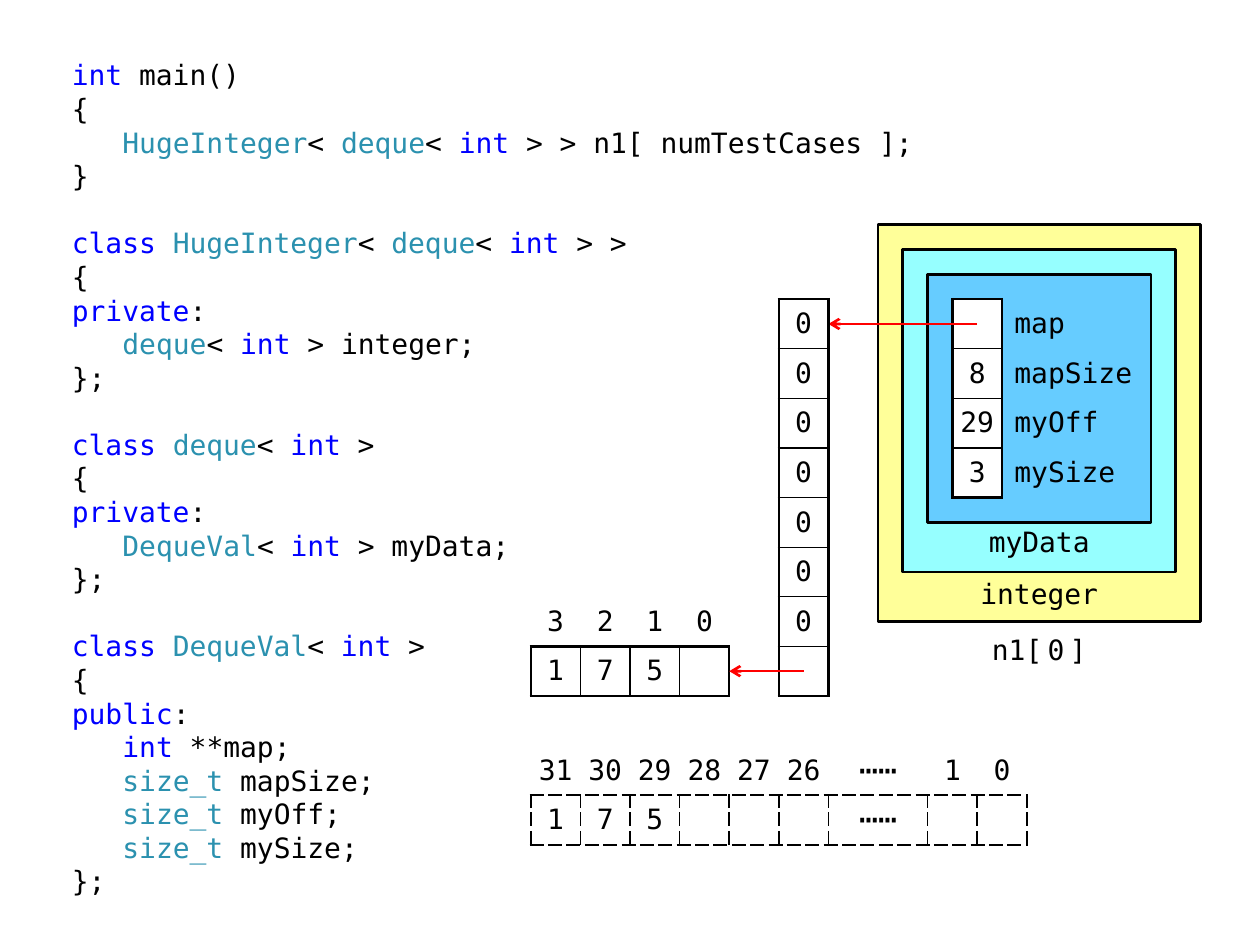
from itertools import groupby

from lxml.etree import SubElement
from pptx import Presentation
from pptx.dml.color import RGBColor
from pptx.enum.shapes import MSO_CONNECTOR, MSO_SHAPE
from pptx.enum.text import MSO_ANCHOR, PP_ALIGN
from pptx.oxml import parse_xml
from pptx.oxml.ns import nsdecls, qn
from pptx.util import Cm, Pt

FONT = "DejaVu Sans Mono"
BLACK = RGBColor(0, 0, 0)
WHITE = RGBColor(0xFF, 0xFF, 0xFF)
RED = RGBColor(0xFF, 0, 0)
BLUE = RGBColor(0, 0, 0xFF)
TEAL = RGBColor(0x2B, 0x91, 0xAF)
YELLOW = RGBColor(0xFF, 0xFF, 0x99)
CYAN = RGBColor(0x96, 0xFF, 0xFF)
SKY = RGBColor(0x66, 0xCC, 0xFF)

NO_STYLE = "{2D5ABB26-0587-4C30-8999-92F81FD0307C}"
LINE_PITCH = Pt(19.2)
CODE_INDENT = Cm(1.02)
DOTS = "⋯⋯"

WORD_COLORS = {
    **dict.fromkeys(("int", "class", "private", "public"), BLUE),
    **dict.fromkeys(("HugeInteger", "deque", "DequeVal", "size_t"), TEAL),
}
CODE_BLOCKS = [
    """int main()
{
\tHugeInteger< deque< int > > n1[ numTestCases ];
}""",
    """class HugeInteger< deque< int > >
{
private:
\tdeque< int > integer;
};""",
    """class deque< int >
{
private:
\tDequeVal< int > myData;
};""",
    """class DequeVal< int >
{
public:
\tint **map;
\tsize_t mapSize;
\tsize_t myOff;
\tsize_t mySize;
};""",
]


def add_run(p, text, color=BLACK, size=16, spacing=None):
    r = p.add_run()
    r.text = text
    for name, value in {"name": FONT, "size": Pt(size)}.items():
        setattr(r.font, name, value)
    r.font.color.rgb = color
    if spacing:
        r.font._element.set("spc", str(spacing))


def set_margins(target, left, top, right, bottom):
    margins = {"left": left, "top": top, "right": right, "bottom": bottom}
    for side, value in margins.items():
        setattr(target, f"margin_{side}", Cm(value))


def color_runs(line):
    """Yield (colour, text) runs of a code line, split by kind of word."""
    pieces = []
    for word in line.split(" "):
        name = word.rstrip("<:")
        pieces.append((WORD_COLORS.get(name, BLACK), name))
        pieces.append((BLACK, word[len(name):] + " "))
    pieces[-1] = (BLACK, pieces[-1][1].rstrip())
    for color, group in groupby((pc for pc in pieces if pc[1]), lambda pc: pc[0]):
        yield color, "".join(text for _, text in group)


def add_code(slide, left, top, width, height):
    tf = slide.shapes.add_textbox(Cm(left), Cm(top), Cm(width), Cm(height)).text_frame
    tf.word_wrap = True
    set_margins(tf, 0.25, 0.15, 0.25, 0.13)
    for b, block in enumerate(CODE_BLOCKS):
        for i, line in enumerate(block.split("\n")):
            p = tf.add_paragraph() if b or i else tf.paragraphs[0]
            p.line_spacing = LINE_PITCH
            if b and not i:
                p.space_before = LINE_PITCH
            if line.startswith("\t"):
                p._p.get_or_add_pPr().set("marL", str(CODE_INDENT))
            for color, text in color_runs(line.strip()):
                add_run(p, text, color)


def add_label(slide, left, top, width, runs, margins, anchor=MSO_ANCHOR.TOP):
    tf = slide.shapes.add_textbox(Cm(left), Cm(top), Cm(width), Cm(1)).text_frame
    tf.word_wrap = True
    tf.vertical_anchor = anchor
    set_margins(tf, *margins)
    p = tf.paragraphs[0]
    p.alignment = PP_ALIGN.CENTER
    for text, spacing in runs:
        add_run(p, text, spacing=spacing)


def add_arrow(slide, x1, x2, y):
    line = slide.shapes.add_connector(MSO_CONNECTOR.STRAIGHT, Cm(x1), Cm(y), Cm(x2), Cm(y))
    line.line.color.rgb = RED
    line.line.width = Pt(1.5)
    SubElement(line.line._get_or_add_ln(), qn("a:tailEnd"), type="arrow")
    SubElement(line._element.spPr, qn("a:effectLst"))


def add_grid(slide, left, top, widths, rows):
    """Add a plain table of 1 cm rows with centred text."""
    shape = slide.shapes.add_table(
        len(rows), len(widths), Cm(left), Cm(top), Cm(sum(widths)), Cm(len(rows)))
    table = shape.table
    table.first_row = table.horz_banding = False
    table._tbl.tblPr.find(qn("a:tableStyleId")).text = NO_STYLE
    for column, width in zip(table.columns, widths):
        column.width = Cm(width)
    for r, texts in enumerate(rows):
        table.rows[r].height = Cm(1)
        for c, text in enumerate(texts):
            cell = table.cell(r, c)
            cell.vertical_anchor = MSO_ANCHOR.MIDDLE
            set_margins(cell, 0, 0.1, 0, 0.1)
            cell.fill.background()
            p = cell.text_frame.paragraphs[0]
            p.alignment = PP_ALIGN.CENTER
            if text:
                add_run(p, text, size=18 if text == DOTS else 16)
    return table


def frame_cells(table, rows, cols, inner, dash="solid"):
    """Fill a block of cells white, with a 1.5 pt outline and inner lines."""
    for r in rows:
        for c in cols:
            cell = table.cell(r, c)
            cell.fill.solid()
            cell.fill.fore_color.rgb = WHITE
            on_edge = {"L": c == cols[0], "R": c == cols[-1],
                       "T": r == rows[0], "B": r == rows[-1]}
            for i, (side, outer) in enumerate(on_edge.items()):
                width = Pt(1.5 if outer else inner)
                cell._tc.get_or_add_tcPr().insert(i, parse_xml(
                    f'<a:ln{side} {nsdecls("a")} w="{width}"><a:solidFill>'
                    f'<a:srgbClr val="{BLACK}"/></a:solidFill>'
                    f'<a:prstDash val="{dash}"/></a:ln{side}>'))


def add_object(slide, left, top, width, height):
    """Nested boxes of n1[0] around the table of its data members."""
    for level, color in enumerate((YELLOW, CYAN, SKY)):
        inset = level * 0.5
        sp = slide.shapes.add_shape(
            MSO_SHAPE.FLOWCHART_PROCESS, Cm(left + inset), Cm(top + inset),
            Cm(width - 2 * inset), Cm(height - 3 * inset))
        sp.shadow.inherit = False
        sp.fill.solid()
        sp.fill.fore_color.rgb = color
        sp.line.color.rgb = BLACK
        sp.line.width = Pt(1.5)
    add_label(slide, left + 1.5, top + height - 1, 3.5, [("integer", None)], (0.2, 0.1, 0.2, 0))
    add_label(slide, left + 2, top + height, 2.5, [("n1", None), ("[0", 300), ("]", None)],
              (0.2, 0.13, 0.2, 0.1), MSO_ANCHOR.BOTTOM)
    add_label(slide, left + 2, top + height - 2, 2.5, [("myData", None)], (0.2, 0.05, 0.2, 0))

    members = [("", "map"), ("8", "mapSize"), ("29", "myOff"), ("3", "mySize")]
    table = add_grid(slide, left + 1.5, top + 1.5, [1, 3], members)
    frame_cells(table, range(4), range(1), 1)
    for r in range(4):
        cell = table.cell(r, 1)
        set_margins(cell, 0.25, 0.1, 0.25, 0.1)
        cell.text_frame.paragraphs[0].alignment = PP_ALIGN.LEFT


def add_map(slide, left, top):
    table = add_grid(slide, left, top, [1], [["0"]] * 7 + [[""]])
    frame_cells(table, range(8), range(1), 0.75)


def add_block(slide, left, top, widths, indices, values, inner, dash="solid"):
    """A row of boxed values with their indices above."""
    table = add_grid(slide, left, top, widths, [indices, values])
    frame_cells(table, range(1, 2), range(len(widths)), inner, dash)


def main():
    prs = Presentation()
    prs.slide_width, prs.slide_height = Cm(25.4), Cm(19.05)
    slide = prs.slides.add_slide(prs.slide_layouts[6])
    add_code(slide, 1.2, 1.02, 17.5, 17)
    add_object(slide, 17.7, 4.53, 6.5, 8)
    add_arrow(slide, 19.7, 16.7, 6.53)
    add_map(slide, 15.7, 6.03)
    add_block(slide, 10.7, 12.03, [1] * 4, list("3210"), ["1", "7", "5", ""], 0.75)
    add_arrow(slide, 16.2, 14.7, 13.53)
    add_block(slide, 10.7, 15.03, [1] * 6 + [2, 1, 1],
              ["31", "30", "29", "28", "27", "26", DOTS, "1", "0"],
              ["1", "7", "5", "", "", "", DOTS, "", ""], 1, "sysDash")
    prs.save("out.pptx")


if __name__ == "__main__":
    main()
